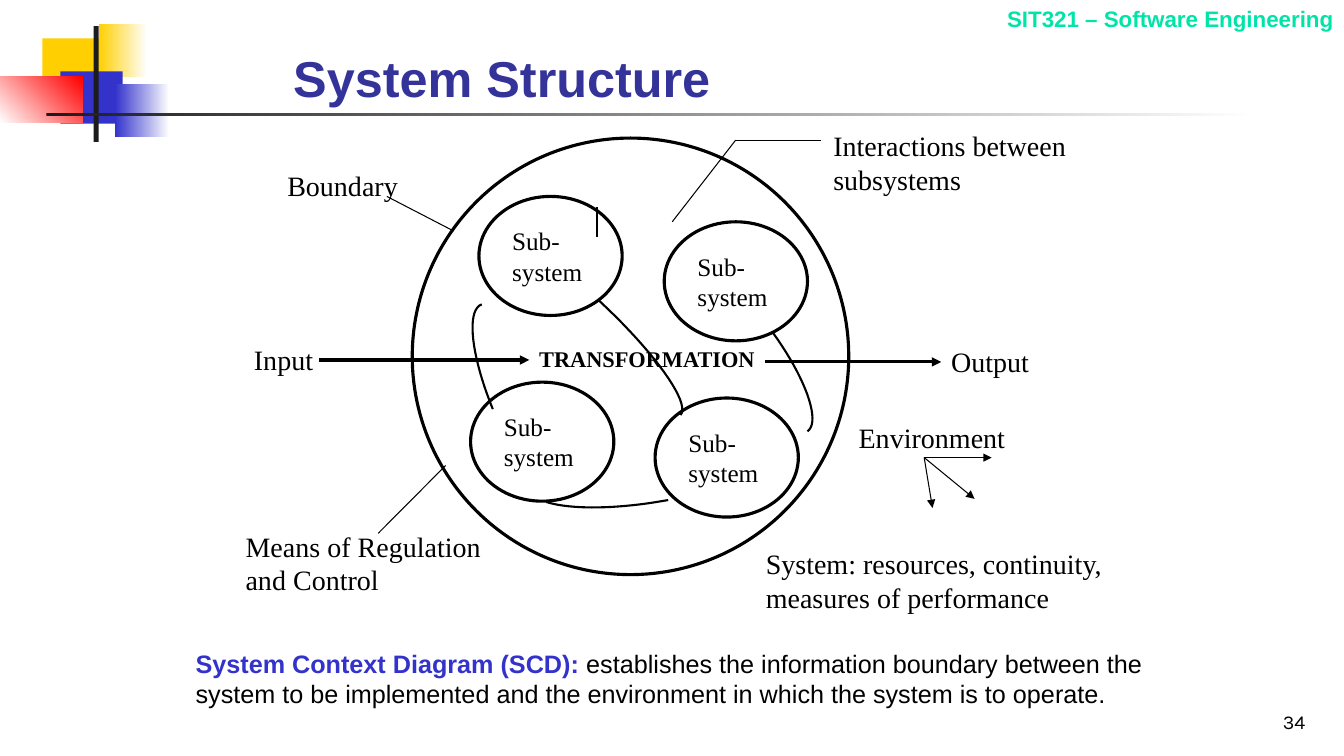
"""Build the System Structure slide with its system context diagram."""
from pptx import Presentation, util as u
from pptx.dml.color import RGBColor
from pptx.enum import shapes, text
from pptx.oxml import parse_xml
from pptx.oxml.ns import nsdecls

COLORS = dict(black="000000", white="FFFFFF", yellow="FFCF01", blue="3333CC",
              red="FF0000", dark="1C1C1C", green="00E4A8", title="333399")
SANS, SERIF = "Arial", "Times New Roman"

DECOR = [
    ((1.07, 0.97, 1.63, 1.32), ["yellow"], 0),
    ((2.49, 0.61, 1.22, 1.32), ["yellow", "white"], 0),
    ((1.52, 1.8, 1.57, 1.32), ["blue"], 0),
    ((2.9, 2.13, 1.37, 1.32), ["blue", "white"], 0),
    ((0, 1.93, 2.08, 1.17), ["white", "red"], 45),
    ((2.36, 0.66, 0.13, 2.92), ["dark"], 0),
    ((1.17, 2.84, 30.48, 0.08), ["dark", "white"], 0),
]
BOUNDARY = (10.39, 3.48, 11, 11)
SUBSYSTEM_SIZE = (3.61, 3)
SUBSYSTEMS = [(12.07, 4.95), (16.74, 5.59), (16.51, 10.03), (11.86, 9.63)]
LABELS = [
    ("Interactions between subsystems", (20.75, 3.12, 6.55, 1.96)),
    ("Output", (23.72, 8.56, 3.18, 1.09)),
    ("Environment", (21.39, 10.46, 4.3, 1.09)),
    ("System: resources, continuity, measures of performance",
     (19.05, 13.64, 9.32, 1.96)),
    ("Input", (6.15, 8.51, 2.11, 1.09)),
    ("Means of Regulation and Control", (5.94, 13.21, 6.99, 1.96)),
    ("Boundary", (6.99, 4.11, 3.38, 1.09)),
]
FLOWS = [(8.05, 9.07, 13.34, 9.07), (19.28, 9.12, 23.72, 9.12)]
ENVIRONMENT = (23.29, 11.53)
ENVIRONMENT_TIPS = [(24.99, 11.53), (23.5, 12.8), (24.56, 12.57)]
LEADERS = [
    (11.23, 11.73, 9.53, 13.44),
    (11.43, 5.82, 9.75, 4.95),
    (16.94, 5.59, 18.54, 3.53),
    (18.54, 3.53, 20.68, 3.53),
]
TICK = (15.04, 5.21, 15.04, 5.97)
LINKS = [
    [(19.46, 8.36), (20.29, 9.5), (20.7, 10.62), (20.35, 10.87)],
    [(12.42, 10.31), (11.89, 9.02), (11.73, 7.82), (12.14, 7.67)],
    [(16.84, 12.6), (15.6, 12.83), (14.4, 12.85), (13.77, 12.65)],
    [(15.09, 7.57), (16.48, 8.86), (17.42, 10.16), (17.15, 10.46)],
]
DEFINITION = [
    ("System Context Diagram (SCD):", dict(color="blue", bold=True)),
    (" establishes the information boundary between the system to be "
     "implemented and the environment in which the system is to operate.", {}),
]
STEPS = 20

prs = Presentation()
prs.slide_width, prs.slide_height = u.Cm(33.87), u.Cm(19.05)
s = prs.slides.add_slide(prs.slide_layouts[5])


def rgb(name):
    return RGBColor.from_string(COLORS[name])


def cm(values):
    return [u.Cm(v) for v in values]


def write(sp, runs, size=20, font=SERIF, color="black", bold=False,
          align=text.PP_ALIGN.LEFT, anchor=text.MSO_ANCHOR.TOP,
          inset=(0.25, 0.13)):
    tf = sp.text_frame
    tf.word_wrap, tf.auto_size = True, text.MSO_AUTO_SIZE.NONE
    tf.vertical_anchor = anchor
    tf.margin_left = tf.margin_right = u.Cm(inset[0])
    tf.margin_top = tf.margin_bottom = u.Cm(inset[1])
    p = tf.paragraphs[0]
    p.alignment = align
    for words, own in [(runs, {})] if isinstance(runs, str) else runs:
        r = p.add_run()
        r.text = words
        r.font.size, r.font.name = u.Pt(size), font
        r.font.bold = own.get("bold", bold)
        r.font.color.rgb = rgb(own.get("color", color))


def box(at, runs, **fmt):
    write(s.shapes.add_textbox(*cm(at)), runs, **fmt)


def outline(sp, width):
    sp.shadow.inherit = False
    sp.fill.background()
    sp.line.color.rgb, sp.line.width = rgb("black"), u.Pt(width)
    return sp


def ellipse(at):
    sp = s.shapes.add_shape(shapes.MSO_SHAPE.OVAL, *cm(at))
    return outline(sp, 2.25)


def line(ends, width, arrow=False):
    c = s.shapes.add_connector(shapes.MSO_CONNECTOR.STRAIGHT, *cm(ends))
    c.line.color.rgb, c.line.width = rgb("black"), u.Pt(width)
    if arrow:
        c.line._get_or_add_ln().append(
            parse_xml(f'<a:tailEnd {nsdecls("a")} type="triangle"/>'))
    c._element.spPr.append(parse_xml(f'<a:effectLst {nsdecls("a")}/>'))


def curve(controls):
    points = []
    for i in range(STEPS + 1):
        t = i / STEPS
        weights = ((1 - t) ** 3, 3 * t * (1 - t) ** 2, 3 * t * t * (1 - t), t ** 3)
        points.append(cm(sum(w * v for w, v in zip(weights, axis))
                         for axis in zip(*controls)))
    fb = s.shapes.build_freeform(*points[0])
    fb.add_line_segments(points[1:], close=False)
    outline(fb.convert_to_shape(), 1.5)


for at, fills, angle in DECOR:
    sp = s.shapes.add_shape(shapes.MSO_SHAPE.RECTANGLE, *cm(at))
    sp.shadow.inherit = False
    sp.line.fill.background()
    if len(fills) == 1:
        sp.fill.solid()
        sp.fill.fore_color.rgb = rgb(fills[0])
    else:
        sp.fill.gradient()
        sp.fill.gradient_angle = angle
        for position, (stop, name) in enumerate(zip(sp.fill.gradient_stops, fills)):
            stop.position, stop.color.rgb = position, rgb(name)

box((20.4, 0, 13.46, 0.94), "SIT321 – Software Engineering", size=16, font=SANS,
    color="green", bold=True, align=text.PP_ALIGN.RIGHT)
box((26.09, 17.35, 7.06, 1.27), "34", size=14, font="Karla",
    align=text.PP_ALIGN.RIGHT, anchor=text.MSO_ANCHOR.BOTTOM)
title = s.shapes.title
title.left, title.top, title.width, title.height = cm((7.14, 0.71, 21.64, 2.13))
write(title, "System Structure", size=36, font=SANS, color="title", bold=True,
      anchor=text.MSO_ANCHOR.BOTTOM)

ellipse(BOUNDARY)
box((13.34, 8.56, 6.15, 0.94), "TRANSFORMATION", size=16, bold=True)
for corner in SUBSYSTEMS:
    write(ellipse(corner + SUBSYSTEM_SIZE), "Sub-system", size=18,
          anchor=text.MSO_ANCHOR.MIDDLE, inset=(0.31, 0))
for words, at in LABELS:
    box(at, words)
for ends in FLOWS:
    line(ends, 2.25, arrow=True)
for tip in ENVIRONMENT_TIPS:
    line(ENVIRONMENT + tip, 0.75, arrow=True)
for ends in LEADERS:
    line(ends, 0.75)
line(TICK, 1.5)
for controls in LINKS:
    curve(controls)
box((4.93, 16.33, 24.21, 1.52), DEFINITION, size=18, font=SANS, inset=(0, 0))

prs.save("out.pptx")
